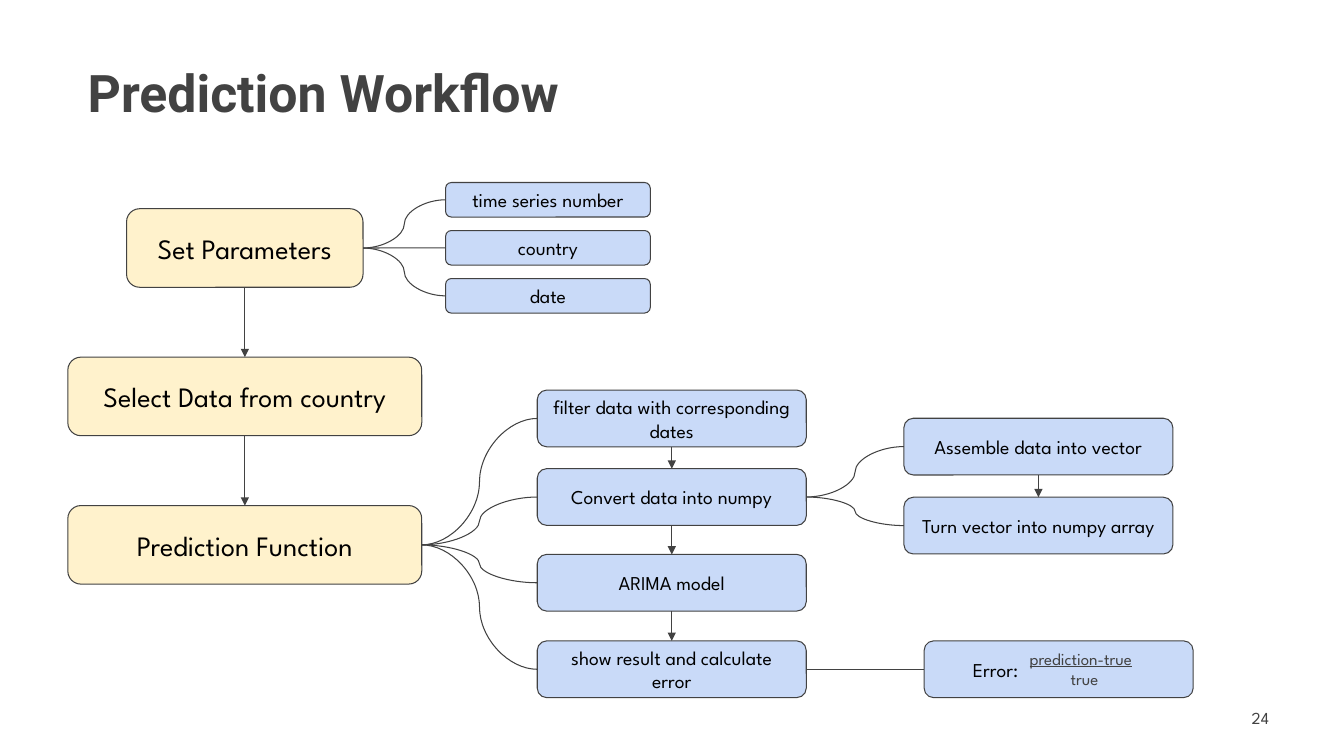
from lxml.etree import SubElement
from pptx import Presentation
from pptx.dml.color import RGBColor
from pptx.enum.shapes import MSO_CONNECTOR, MSO_SHAPE
from pptx.enum.text import MSO_ANCHOR, PP_ALIGN
from pptx.oxml.ns import qn
from pptx.util import Cm, Pt

FONT = "League Spartan"
GREY, BLACK = "424242", "000000"
CREAM, BLUE = "FFF2CC", "C9DAF8"
TOP, LEFT, BOTTOM, RIGHT = range(4)  # connection sites of a box


def color(code):
    return RGBColor.from_string(code)


def add_run(para, text, size, code, name=FONT, bold=False, under=False):
    run = para.add_run()
    run.text = text
    font = run.font
    font.name, font.size, font.bold = name, Pt(size), bold
    font.underline = under
    font.color.rgb = color(code)


def set_frame(frame, side=0.25, ends=0.25, anchor=MSO_ANCHOR.MIDDLE):
    frame.word_wrap = True
    frame.vertical_anchor = anchor
    frame.margin_left = frame.margin_right = Cm(side)
    frame.margin_top = frame.margin_bottom = Cm(ends)


def indent(para, width):
    """Left-align a paragraph and shift it right."""
    para.alignment = PP_ALIGN.LEFT
    props = para._p.get_or_add_pPr()
    props.set("marL", str(Cm(width)))
    props.set("indent", "0")


def add_box(slide, text, left, top, width, height, fill, size):
    box = slide.shapes.add_shape(MSO_SHAPE.ROUNDED_RECTANGLE, Cm(left),
                                 Cm(top), Cm(width), Cm(height))
    box.shadow.inherit = False
    box.fill.solid()
    box.fill.fore_color.rgb = color(fill)
    box.line.color.rgb = color(GREY)
    box.line.width = Pt(0.75)
    set_frame(box.text_frame)
    para = box.text_frame.paragraphs[0]
    para.alignment = PP_ALIGN.CENTER
    add_run(para, text, size, BLACK)
    return box


def add_stage(slide, text, left, top, width):
    return add_box(slide, text, left, top, width, 1.98, CREAM, 20)


def add_step(slide, text, left, top):
    return add_box(slide, text, left, top, 6.78, 1.43, BLUE, 14)


def add_link(slide, kind, start, exit, end, entry):
    link = slide.shapes.add_connector(kind, 0, 0, 0, 0)
    link.begin_connect(start, exit)
    link.end_connect(end, entry)
    link.line.color.rgb = color(GREY)
    link.line.width = Pt(0.75)
    SubElement(link._element.spPr, qn("a:effectLst"))
    return link


def add_chain(slide, boxes):
    """Join boxes downwards with arrows."""
    for start, end in zip(boxes, boxes[1:]):
        link = add_link(slide, MSO_CONNECTOR.STRAIGHT, start, BOTTOM, end, TOP)
        tail = SubElement(link.line._get_or_add_ln(), qn("a:tailEnd"))
        tail.set("type", "triangle")


def add_fan(slide, start, ends):
    """Join one box to those on its right, straight where they are level."""
    for end in ends:
        rise = start.top + start.height / 2 - end.top - end.height / 2
        level = abs(rise) < Cm(0.05)
        kind = MSO_CONNECTOR.STRAIGHT if level else MSO_CONNECTOR.CURVE
        add_link(slide, kind, start, RIGHT, end, LEFT)


def add_text(slide, left, top, width, height):
    box = slide.shapes.add_textbox(Cm(left), Cm(top), Cm(width), Cm(height))
    return box.text_frame


def add_title(slide, text):
    title = slide.shapes.title
    title.left, title.top = Cm(1.96), Cm(0.58)
    title.width, title.height = Cm(29.21), Cm(3.68)
    set_frame(title.text_frame, ends=0.13)
    para = title.text_frame.paragraphs[0]
    para.alignment = PP_ALIGN.LEFT
    para.line_spacing = 0.9
    add_run(para, text, 37, GREY, "Roboto", bold=True)


def add_ratio(slide, upper, lower):
    frame = add_text(slide, 25.7, 16.1, 4.6, 1.55)
    set_frame(frame, anchor=MSO_ANCHOR.TOP)
    add_run(frame.paragraphs[0], upper, 12, GREY, under=True)
    para = frame.add_paragraph()
    indent(para, 1.03)
    add_run(para, lower, 12, GREY)


def add_number(slide, text):
    frame = add_text(slide, 24.61, 17.58, 7.62, 1.02)
    set_frame(frame, ends=0.13)
    para = frame.paragraphs[0]
    para.alignment = PP_ALIGN.RIGHT
    add_run(para, text, 12, GREY)


def main():
    deck = Presentation()
    deck.slide_width, deck.slide_height = Cm(33.87), Cm(19.05)
    slide = deck.slides.add_slide(deck.slide_layouts[5])
    add_title(slide, "Prediction Workflow")
    add_number(slide, "24")

    stages = [add_stage(slide, text, left, 5.26 + 3.74 * row, width)
              for row, (text, left, width) in enumerate([
                  ("Set Parameters", 3.19, 5.96),
                  ("Select Data from country", 1.71, 8.92),
                  ("Prediction Function", 1.71, 8.92)])]
    inputs = [add_box(slide, text, 11.23, 4.6 + 1.21 * row, 5.16, 0.87,
                      BLUE, 14)
              for row, text in enumerate(
                  ["time series number", "country", "date"])]
    steps = [add_step(slide, text, 13.54, top) for text, top in [
        ("filter data with corresponding dates", 9.83),
        ("Convert data into numpy", 11.81),
        ("ARIMA model", 13.97),
        ("show result and calculate error", 16.15)]]
    parts = [add_step(slide, text, 22.78, top) for text, top in [
        ("Assemble data into vector", 10.54),
        ("Turn vector into numpy array", 12.53)]]
    error = add_step(slide, "Error:", 23.29, 16.15)
    indent(error.text_frame.paragraphs[0], 0.91)
    add_ratio(slide, "prediction-true", "true")

    for chain in (stages, steps, parts):
        add_chain(slide, chain)
    add_fan(slide, stages[0], inputs)
    add_fan(slide, stages[2], steps)
    add_fan(slide, steps[1], parts)
    add_fan(slide, steps[3], [error])
    deck.save("out.pptx")


if __name__ == "__main__":
    main()
